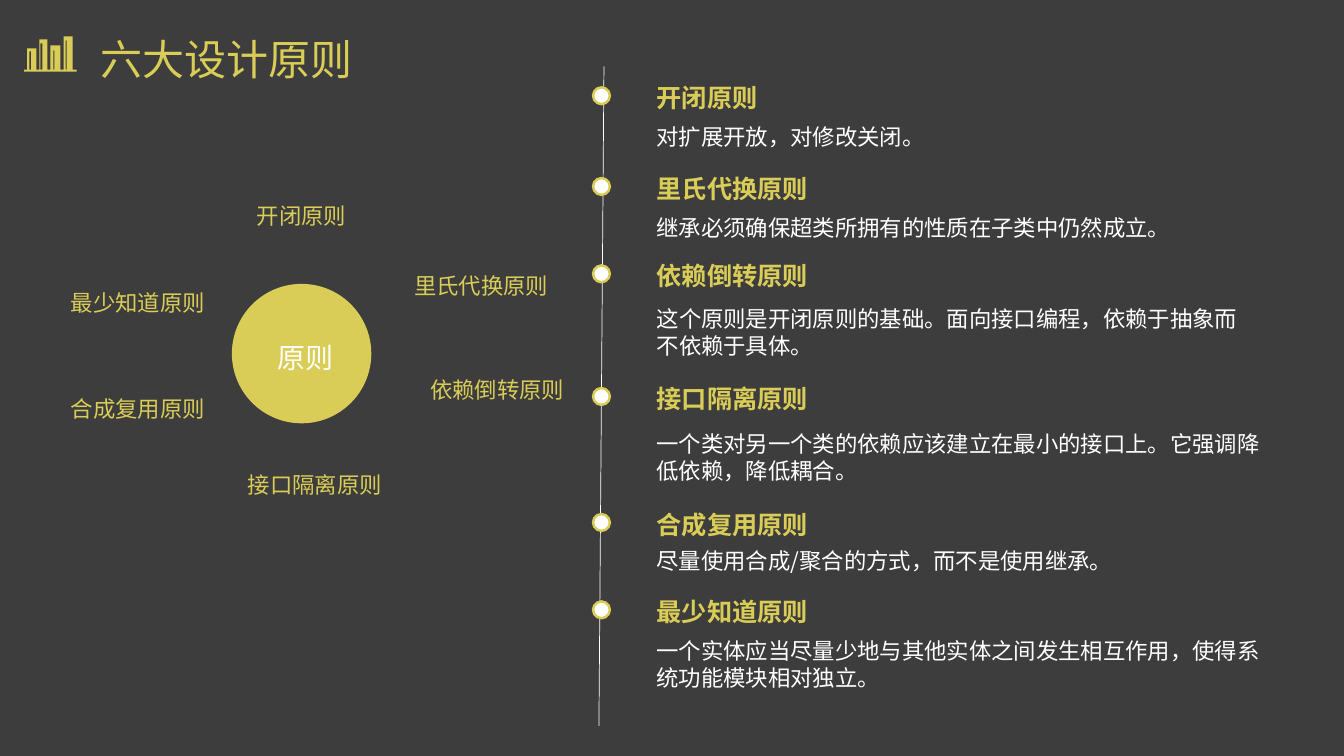
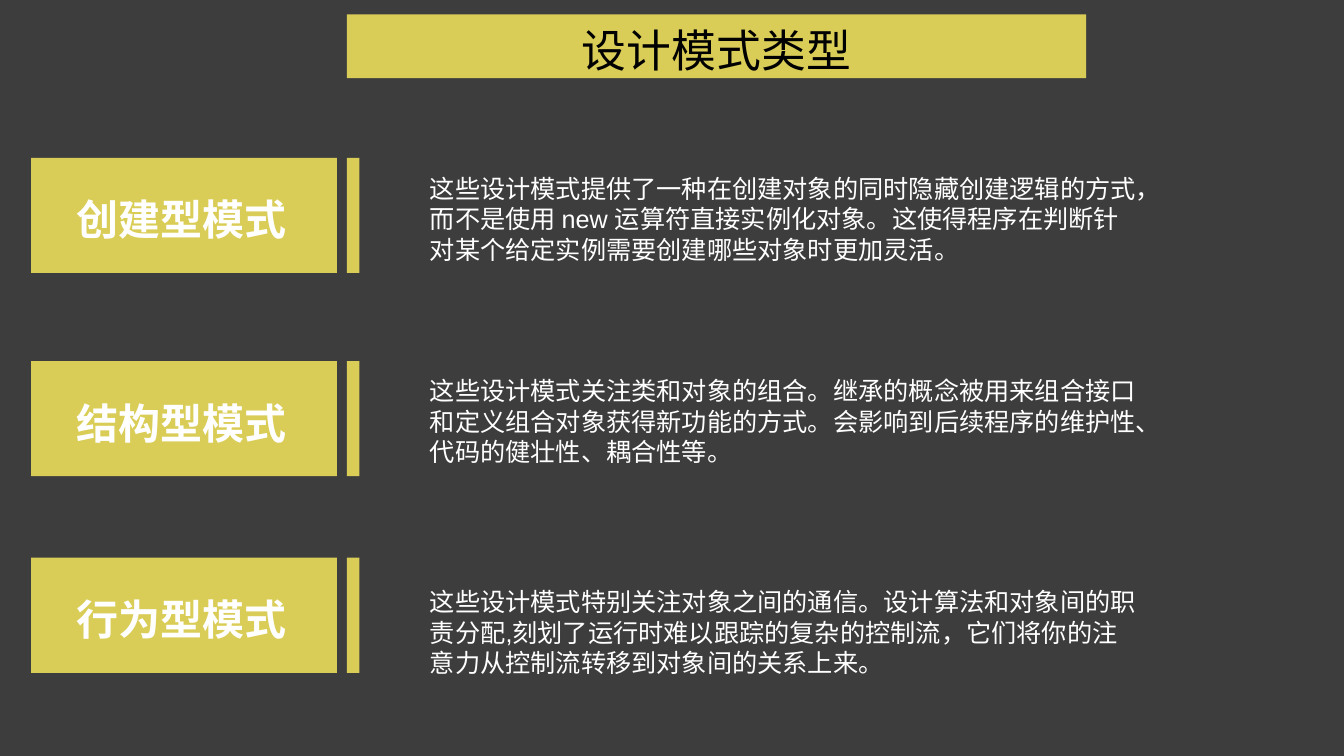
from dataclasses import dataclass

from lxml import etree
from pptx import Presentation
from pptx.dml.color import RGBColor
from pptx.enum.shapes import MSO_CONNECTOR, MSO_SHAPE
from pptx.enum.text import MSO_ANCHOR, PP_ALIGN
from pptx.oxml.ns import qn
from pptx.util import Inches, Pt

RECTANGLE = MSO_SHAPE.RECTANGLE
OVAL = MSO_SHAPE.OVAL
STRAIGHT = MSO_CONNECTOR.STRAIGHT
LEFT = PP_ALIGN.LEFT
CENTER = PP_ALIGN.CENTER
TOP = MSO_ANCHOR.TOP
MIDDLE = MSO_ANCHOR.MIDDLE

SLIDE_WIDTH = Inches(13.33)
SLIDE_HEIGHT = Inches(7.5)
COLUMN = SLIDE_WIDTH / 160
ROW = SLIDE_HEIGHT / 90


@dataclass(frozen=True)
class Theme:
    background: RGBColor = RGBColor(0x3D, 0x3D, 0x3D)
    accent: RGBColor = RGBColor(0xDA, 0xCD, 0x57)
    light: RGBColor = RGBColor(0xFF, 0xFF, 0xFF)
    dark: RGBColor = RGBColor(0x00, 0x00, 0x00)
    display_font: str = "Roboto Condensed"
    body_font: str = "Noto Sans CJK KR"
    label_font: str = "Calibri"
    plain_font: str = "Arial"
    east_asian_font: str = "Noto Sans CJK SC"
    band_size: int = 32
    title_size: int = 30
    hub_size: int = 20
    heading_size: int = 18
    body_size: int = 16
    line_height: float = 1.2
    side_inset: float = 0.1
    top_inset: float = 0.07


THEME = Theme()


@dataclass(frozen=True)
class TextStyle:
    size: int
    font: str
    color: RGBColor
    bold: bool = False
    align: PP_ALIGN = LEFT


TITLE = TextStyle(THEME.title_size, THEME.display_font, THEME.accent)
HUB = TextStyle(THEME.hub_size, THEME.label_font, THEME.light, align=CENTER)
LABEL = TextStyle(THEME.body_size, THEME.label_font, THEME.accent, align=CENTER)
HEADING = TextStyle(THEME.heading_size, THEME.body_font, THEME.accent, bold=True)
BODY = TextStyle(THEME.body_size, THEME.body_font, THEME.light)
BAND = TextStyle(THEME.band_size, THEME.plain_font, THEME.dark, align=CENTER)
PATTERN_NAME = TextStyle(THEME.title_size, THEME.display_font, THEME.light, bold=True)
PATTERN_TEXT = TextStyle(THEME.heading_size, THEME.plain_font, THEME.light)

LABEL_WIDTH = 21.6
AXIS = 71.6
DOT = 2
DETAIL_LEFT = 77

# name, label centre, label top, heading top, body top, body width, body


@dataclass(frozen=True)
class Principle:
    name: str
    label_center: float
    label_top: float
    heading_top: float
    body_top: float
    body: str
    body_width: float = 74.6


PRINCIPLES = (
    Principle("开闭原则", 35.9, 23.2, 9, 13.8, "对扩展开放，对修改关闭。"),
    Principle("里氏代换原则", 57.3, 31.6, 19.8, 24.6,
              "继承必须确保超类所拥有的性质在子类中仍然成立。"),
    Principle("依赖倒转原则", 59.2, 43.9, 30.2, 35.5,
              "这个原则是开闭原则的基础。面向接口编程，依赖于抽象而不依赖于具体。", 72.8),
    Principle("接口隔离原则", 37.5, 55.2, 44.8, 50.4,
              "一个类对另一个类的依赖应该建立在最小的接口上。它强调降低依赖，降低耦合。"),
    Principle("合成复用原则", 16.4, 46.2, 59.8, 64.3,
              "尽量使用合成/聚合的方式，而不是使用继承。"),
    Principle("最少知道原则", 16.4, 33.6, 70.2, 75,
              "一个实体应当尽量少地与其他实体之间发生相互作用，使得系统功能模块相对独立。"),
)

PATTERNS = (
    ("创建型模式", 18.8, 19.8,
     "这些设计模式提供了一种在创建对象的同时隐藏创建逻辑的方式，而不是使用 new "
     "运算符直接实例化对象。这使得程序在判断针对某个给定实例需要创建哪些对象时更加灵活。"),
    ("结构型模式", 43, 43.9,
     "这些设计模式关注类和对象的组合。继承的概念被用来组合接口和定义组合对象获得新功能的方式。"
     "会影响到后续程序的维护性、代码的健壮性、耦合性等。"),
    ("行为型模式", 66.4, 69,
     "这些设计模式特别关注对象之间的通信。设计算法和对象间的职责分配,刻划了运行时难以跟踪的"
     "复杂的控制流，它们将你的注意力从控制流转移到对象间的关系上来。"),
)

ICON_UNIT = Inches(0.01)
ICON_LEFT, ICON_RIGHT = 24, 76
ICON_FLOOR, ICON_BOTTOM = 69, 71
ICON_BARS = (
    ((27, 48, 36), (29, 51, 31)),
    ((39, 39, 47), (40, 43, 42)),
    ((50, 45, 60), (53, 50, 54)),
    ((63, 36, 72), (65, 40, 66)),
)


def grid(left, top, width, height):
    return (round(left * COLUMN), round(top * ROW),
            round(width * COLUMN), round(height * ROW))


def write_text(shape, text, style, anchor=TOP, left_inset=THEME.side_inset):
    frame = shape.text_frame
    frame.word_wrap = True
    frame.vertical_anchor = anchor
    frame.margin_left = Inches(left_inset)
    frame.margin_right = Inches(THEME.side_inset)
    frame.margin_top = Inches(THEME.top_inset)
    frame.margin_bottom = 0
    paragraph = frame.paragraphs[0]
    paragraph.alignment = style.align
    paragraph.line_spacing = Pt(style.size * THEME.line_height)
    run = paragraph.add_run()
    run.text = text
    run.font.size = Pt(style.size)
    run.font.name = style.font
    run.font.bold = style.bold
    run.font.color.rgb = style.color
    east_asian = etree.SubElement(run.font._element, qn("a:ea"))
    east_asian.set("typeface", THEME.east_asian_font)


def add_text(slide, box, text, style):
    write_text(slide.shapes.add_textbox(*grid(*box)), text, style)


def paint(shape, fill, outline=None):
    shape.shadow.inherit = False
    shape.fill.solid()
    shape.fill.fore_color.rgb = fill
    if outline is None:
        shape.line.fill.background()
    else:
        shape.line.color.rgb = outline
        shape.line.width = Pt(1.75)


def add_block(slide, kind, box, fill=THEME.accent, outline=None):
    shape = slide.shapes.add_shape(kind, *grid(*box))
    paint(shape, fill, outline)
    return shape


def add_axis(slide, start, end):
    x1, y1, x2, y2 = grid(*start, *end)
    axis = slide.shapes.add_connector(STRAIGHT, x1, y1, x2, y2)
    axis.line.color.rgb = THEME.light
    axis.line.width = Pt(0.5)
    etree.SubElement(axis._element.spPr, qn("a:effectLst"))


def add_bars_icon(slide):
    outline = []
    for (left, top, right), _ in ICON_BARS:
        outline += [(left, ICON_FLOOR), (left, top), (right, top), (right, ICON_FLOOR)]
    outline += [(ICON_RIGHT, ICON_FLOOR), (ICON_RIGHT, ICON_BOTTOM),
                (ICON_LEFT, ICON_BOTTOM)]
    builder = slide.shapes.build_freeform(ICON_LEFT, ICON_FLOOR, scale=ICON_UNIT)
    builder.add_line_segments(outline, close=True)
    for _, (left, top, right) in ICON_BARS:
        builder.move_to(left, ICON_FLOOR)
        builder.add_line_segments(
            [(right, ICON_FLOOR), (right, top), (left, top)], close=True)
    paint(builder.convert_to_shape(), THEME.accent)


def add_slide(presentation):
    slide = presentation.slides.add_slide(presentation.slide_layouts[6])
    slide.background.fill.solid()
    slide.background.fill.fore_color.rgb = THEME.background
    return slide


def add_principle(slide, principle):
    label_left = principle.label_center - LABEL_WIDTH / 2
    add_text(slide, (label_left, principle.label_top, LABEL_WIDTH, 4.7),
             principle.name, LABEL)
    dot_top = principle.heading_top + 1.4
    add_block(slide, OVAL, (AXIS - DOT / 2, dot_top, DOT, DOT),
              THEME.light, THEME.accent)
    add_text(slide, (DETAIL_LEFT, principle.heading_top, 30, 4.8),
             principle.name, HEADING)
    add_text(slide, (DETAIL_LEFT, principle.body_top, principle.body_width, 7.6),
             principle.body, BODY)


def build_principles(presentation):
    slide = add_slide(presentation)
    add_bars_icon(slide)
    add_text(slide, (10.8, 3.2, 72, 7.2), "六大设计原则", TITLE)
    hub = add_block(slide, OVAL, (27.6, 33.8, 16.6, 16.6))
    write_text(hub, "原则", HUB, MIDDLE, left_inset=0.17)
    add_axis(slide, (71.9, 7.9), (71.3, 86.4))
    for principle in PRINCIPLES:
        add_principle(slide, principle)


def add_pattern(slide, name, top, text_top, text):
    card = add_block(slide, RECTANGLE, (3.7, top, 36.4, 13.7))
    write_text(card, name, PATTERN_NAME, MIDDLE, left_inset=0.45)
    add_block(slide, RECTANGLE, (41.3, top, 1.5, 13.7))
    add_text(slide, (50, text_top, 87, 12), text, PATTERN_TEXT)


def build_patterns(presentation):
    slide = add_slide(presentation)
    band = add_block(slide, RECTANGLE, (41.3, 1.7, 88, 7.6))
    write_text(band, "设计模式类型", BAND, MIDDLE)
    for pattern in PATTERNS:
        add_pattern(slide, *pattern)


def main():
    presentation = Presentation()
    presentation.slide_width = SLIDE_WIDTH
    presentation.slide_height = SLIDE_HEIGHT
    build_principles(presentation)
    build_patterns(presentation)
    presentation.save("out.pptx")


if __name__ == "__main__":
    main()
